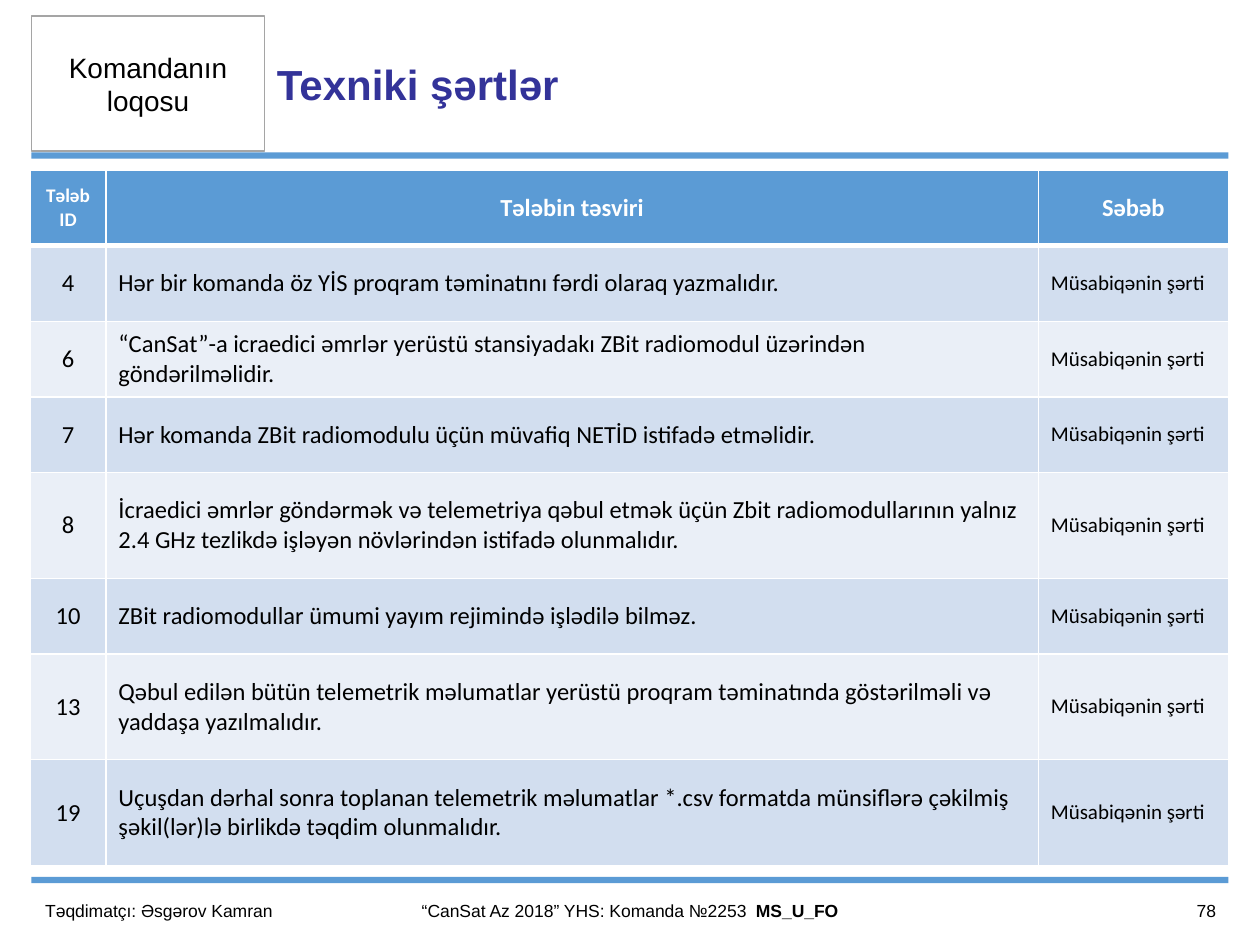
from lxml import etree
from pptx import Presentation
from pptx.dml.color import RGBColor
from pptx.enum.shapes import MSO_SHAPE
from pptx.enum.text import MSO_ANCHOR, PP_ALIGN
from pptx.oxml.ns import qn
from pptx.util import Inches, Pt

RECT = MSO_SHAPE.RECTANGLE
MIDDLE = MSO_ANCHOR.MIDDLE
LEFT, CENTER, RIGHT = PP_ALIGN.LEFT, PP_ALIGN.CENTER, PP_ALIGN.RIGHT

COLORS = {
    "blue": "5B9BD5", "navy": "333399", "gray": "A5A5A5",
    "white": "FFFFFF", "black": "000000",
    "dark band": "D2DEEF", "light band": "EAEFF7",
}

HEADS = ["Tələb ID", "Tələbin təsviri", "Səbəb"]
REASON = "Müsabiqənin şərti"
RULES = [
    (4, "Hər bir komanda öz YİS proqram təminatını fərdi olaraq yazmalıdır."),
    (6, "“CanSat”-a icraedici əmrlər yerüstü stansiyadakı ZBit radiomodul "
        "üzərindən göndərilməlidir."),
    (7, "Hər komanda ZBit radiomodulu üçün müvafiq NETİD istifadə etməlidir."),
    (8, "İcraedici əmrlər göndərmək və telemetriya qəbul etmək üçün Zbit "
        "radiomodullarının yalnız 2.4 GHz tezlikdə işləyən növlərindən "
        "istifadə olunmalıdır."),
    (10, "ZBit radiomodullar ümumi yayım rejimində işlədilə bilməz."),
    (13, "Qəbul edilən bütün telemetrik məlumatlar yerüstü proqram "
         "təminatında göstərilməli və yaddaşa yazılmalıdır."),
    (19, "Uçuşdan dərhal sonra toplanan telemetrik məlumatlar *.csv formatda "
         "münsiflərə çəkilmiş şəkil(lər)lə birlikdə təqdim olunmalıdır."),
]
WIDTHS = [0.6, 7.4, 1.51]
HEIGHTS = [0.6, 0.6, 0.6, 0.6, 0.84, 0.6, 0.84, 0.84]


def color(name):
    return RGBColor.from_string(COLORS[name])


def style(par, size, face, tone="black", bold=False, align=LEFT):
    par.alignment = align
    font = par.font
    font.size, font.name, font.bold = Pt(size), face, bold
    font.color.rgb = color(tone)


def add_box(slide, left, top, width, height, fill, line=None):
    box = slide.shapes.add_shape(
        RECT, Inches(left), Inches(top), Inches(width), Inches(height))
    box.shadow.inherit = False
    box.fill.solid()
    box.fill.fore_color.rgb = color(fill)
    if line:
        box.line.color.rgb = color(line)
        box.line.width = Pt(1)
    else:
        box.line.fill.background()
    return box


def add_label(slide, left, top, width, height, text, size, **look):
    box = slide.shapes.add_textbox(
        Inches(left), Inches(top), Inches(width), Inches(height))
    frame = box.text_frame
    frame.word_wrap = True
    frame.vertical_anchor = MIDDLE
    par = frame.paragraphs[0]
    par.add_run().text = text
    style(par, size, "Arial", **look)
    return par


def add_header(slide, left, top, width, height):
    logo = 1.85
    box = add_box(slide, left, top, logo, height, "white", "gray")
    frame = box.text_frame
    frame.word_wrap = True
    frame.vertical_anchor = MIDDLE
    frame.text = "Komandanın loqosu"
    style(frame.paragraphs[0], 16, "Arial", align=CENTER)
    add_label(slide, left + logo, top, 6, height, "Texniki şərtlər", 24,
              tone="navy", bold=True)
    add_box(slide, left, top + height + 0.01, width, 0.05, "blue")


def add_borders(cell, base):
    """Draw white sides, with the given width in points at the bottom."""
    props = cell._tc.get_or_add_tcPr()
    for side, width in (("L", 1), ("R", 1), ("T", 1), ("B", base)):
        line = etree.SubElement(props, qn(f"a:ln{side}"), w=str(Pt(width)))
        fill = etree.SubElement(line, qn("a:solidFill"))
        etree.SubElement(fill, qn("a:srgbClr"), val=COLORS["white"])


def fill_cell(cell, text, fill, base=1, **look):
    add_borders(cell, base)
    cell.fill.solid()
    cell.fill.fore_color.rgb = color(fill)
    cell.vertical_anchor = MIDDLE
    cell.text = text
    style(cell.text_frame.paragraphs[0], face="Calibri", **look)


def add_rules(slide, left, top):
    table = slide.shapes.add_table(
        len(HEIGHTS), len(WIDTHS), Inches(left), Inches(top),
        Inches(sum(WIDTHS)), Inches(sum(HEIGHTS))).table
    for col, width in zip(table.columns, WIDTHS):
        col.width = Inches(width)
    for row, height in zip(table.rows, HEIGHTS):
        row.height = Inches(height)
    for c, (head, size) in enumerate(zip(HEADS, (11, 14, 14))):
        fill_cell(table.cell(0, c), head, "blue", base=3, size=size,
                  tone="white", bold=True, align=CENTER)
    for r, (number, rule) in enumerate(RULES, 1):
        band = "dark band" if r % 2 else "light band"
        fill_cell(table.cell(r, 0), str(number), band, size=14, align=CENTER)
        fill_cell(table.cell(r, 1), rule, band, size=14)
        fill_cell(table.cell(r, 2), REASON, band, size=12)


def add_footer(slide, left, top, width):
    add_box(slide, left, top, width, 0.05, "blue")
    y, height = top + 0.07, 0.4
    add_label(slide, left + 0.01, y, 2.39, height,
              "Təqdimatçı: Əsgərov Kamran", 10)
    team = add_label(slide, left + 2.4, y, 4.7, height,
                     "“CanSat Az 2018” YHS: Komanda №2253 ", 10, align=CENTER)
    code = team.add_run()
    code.text = " MS_U_FO"
    code.font.bold = True
    add_label(slide, left + width - 1, y, 1, height, "78", 10, align=RIGHT)


def main():
    deck = Presentation()
    deck.slide_width, deck.slide_height = Inches(10), Inches(7.5)
    slide = deck.slides.add_slide(deck.slide_layouts[6])
    add_header(slide, 0.25, 0.13, 9.5, 1.07)
    add_rules(slide, 0.24, 1.35)
    add_footer(slide, 0.25, 6.96, 9.5)
    deck.save("out.pptx")


if __name__ == "__main__":
    main()
